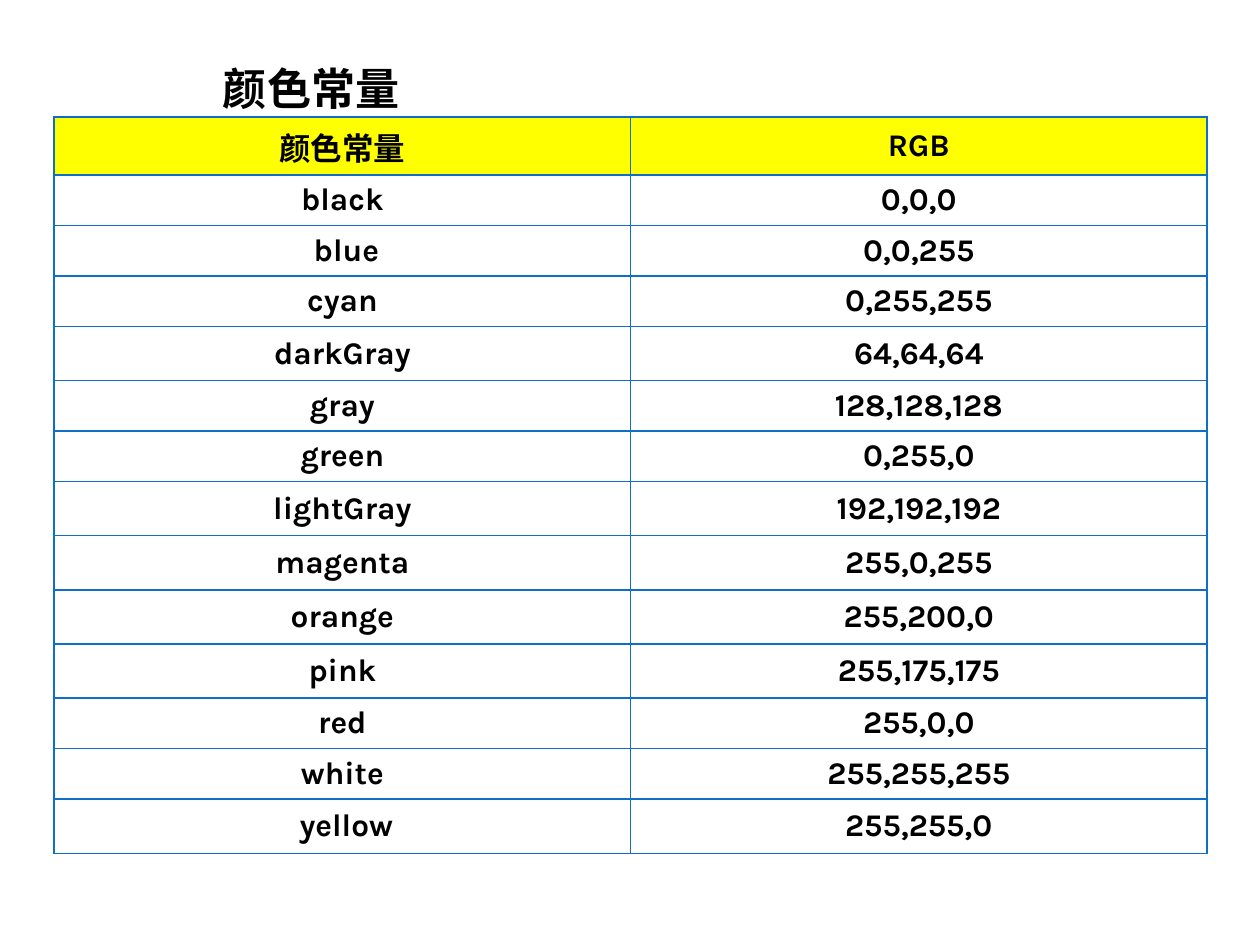
from dataclasses import dataclass

from lxml import etree
from pptx import Presentation
from pptx.dml.color import RGBColor
from pptx.enum.text import MSO_ANCHOR, PP_ALIGN
from pptx.oxml.ns import qn
from pptx.util import Inches, Pt

CENTER = PP_ALIGN.CENTER
MIDDLE = MSO_ANCHOR.MIDDLE
BOTTOM = MSO_ANCHOR.BOTTOM


@dataclass(frozen=True)
class Theme:
    """Colours, fonts and sizes of the slide."""
    text: str = "000000"
    header: str = "FFFF00"
    border: str = "0F6FC6"
    border_pt: float = 1
    title_font: str = "Montserrat"
    title_pt: float = 25.2
    body_font: str = "Karla"
    body_pt: float = 18


THEME = Theme()
HEADER_H, SHORT_H, TALL_H = 0.46, 0.39, 0.43
INDENT = Inches(0.38)
ROWS = [
    ("颜色常量", "RGB", HEADER_H),
    ("black", "0,0,0", SHORT_H),
    (" blue", "0,0,255", SHORT_H),
    ("cyan", "0,255,255", SHORT_H),
    ("darkGray", "64,64,64", TALL_H),
    ("gray", "128,128,128", SHORT_H),
    ("green", "0,255,0", SHORT_H),
    ("lightGray", "192,192,192", TALL_H),
    ("magenta", "255,0,255", TALL_H),
    ("orange", "255,200,0", TALL_H),
    ("pink", "255,175,175", TALL_H),
    ("red", "255,0,0", SHORT_H),
    ("white", "255,255,255", SHORT_H),
    (" yellow", "255,255,0", TALL_H),
]


def add_run(p, text, font, size):
    """Add a bold run in the text colour."""
    r = p.add_run()
    r.text = text
    r.font.name = font
    r.font.size = Pt(size)
    r.font.bold = True
    r.font.color.rgb = RGBColor.from_string(THEME.text)


def add_title(s, text, x, y, w, h):
    """Place the bottom-anchored slide title in the given box."""
    tf = s.shapes.add_textbox(Inches(x), Inches(y), Inches(w), Inches(h)).text_frame
    tf.word_wrap = True
    tf.vertical_anchor = BOTTOM
    tf.margin_left = tf.margin_right = tf.margin_bottom = 0
    tf.margin_top = Inches(0.05)
    add_run(tf.paragraphs[0], text, THEME.title_font, THEME.title_pt)


def set_borders(cell):
    """Draw a thin line on all four sides of a cell."""
    tc_pr = cell._tc.get_or_add_tcPr()
    for i, side in enumerate(("a:lnL", "a:lnR", "a:lnT", "a:lnB")):
        ln = etree.Element(qn(side), w=str(Pt(THEME.border_pt)))
        fill = etree.SubElement(ln, qn("a:solidFill"))
        etree.SubElement(fill, qn("a:srgbClr"), val=THEME.border)
        tc_pr.insert(i, ln)


def fill_cell(cell, text, is_header):
    """Write one centred cell with a hanging indent, fill and borders."""
    cell.vertical_anchor = MIDDLE
    if is_header:
        cell.fill.solid()
        cell.fill.fore_color.rgb = RGBColor.from_string(THEME.header)
    else:
        cell.fill.background()
    p = cell.text_frame.paragraphs[0]
    p.alignment = CENTER
    p_pr = p._p.get_or_add_pPr()
    p_pr.set("marL", str(INDENT))
    p_pr.set("indent", str(-INDENT))
    add_run(p, text, THEME.body_font, THEME.body_pt)
    set_borders(cell)


def add_color_table(s, rows, x, y, w):
    """Place the table of colour constants, as high as its rows."""
    h = sum(row[-1] for row in rows)
    table = s.shapes.add_table(len(rows), 2, Inches(x), Inches(y), Inches(w), Inches(h)).table
    table.first_row = table.horz_banding = False
    for i, (name, rgb, row_h) in enumerate(rows):
        table.rows[i].height = Inches(row_h)
        for j, text in enumerate((name, rgb)):
            fill_cell(table.cell(i, j), text, i == 0)


def main():
    """Build and save the slide."""
    prs = Presentation()
    prs.slide_width, prs.slide_height = Inches(10), Inches(7.5)
    s = prs.slides.add_slide(prs.slide_layouts[6])
    add_title(s, "颜色常量", 1.77, 0.52, 6.17, 0.39)
    add_color_table(s, ROWS, 0.43, 0.93, 9.15)
    prs.save("out.pptx")


if __name__ == "__main__":
    main()
